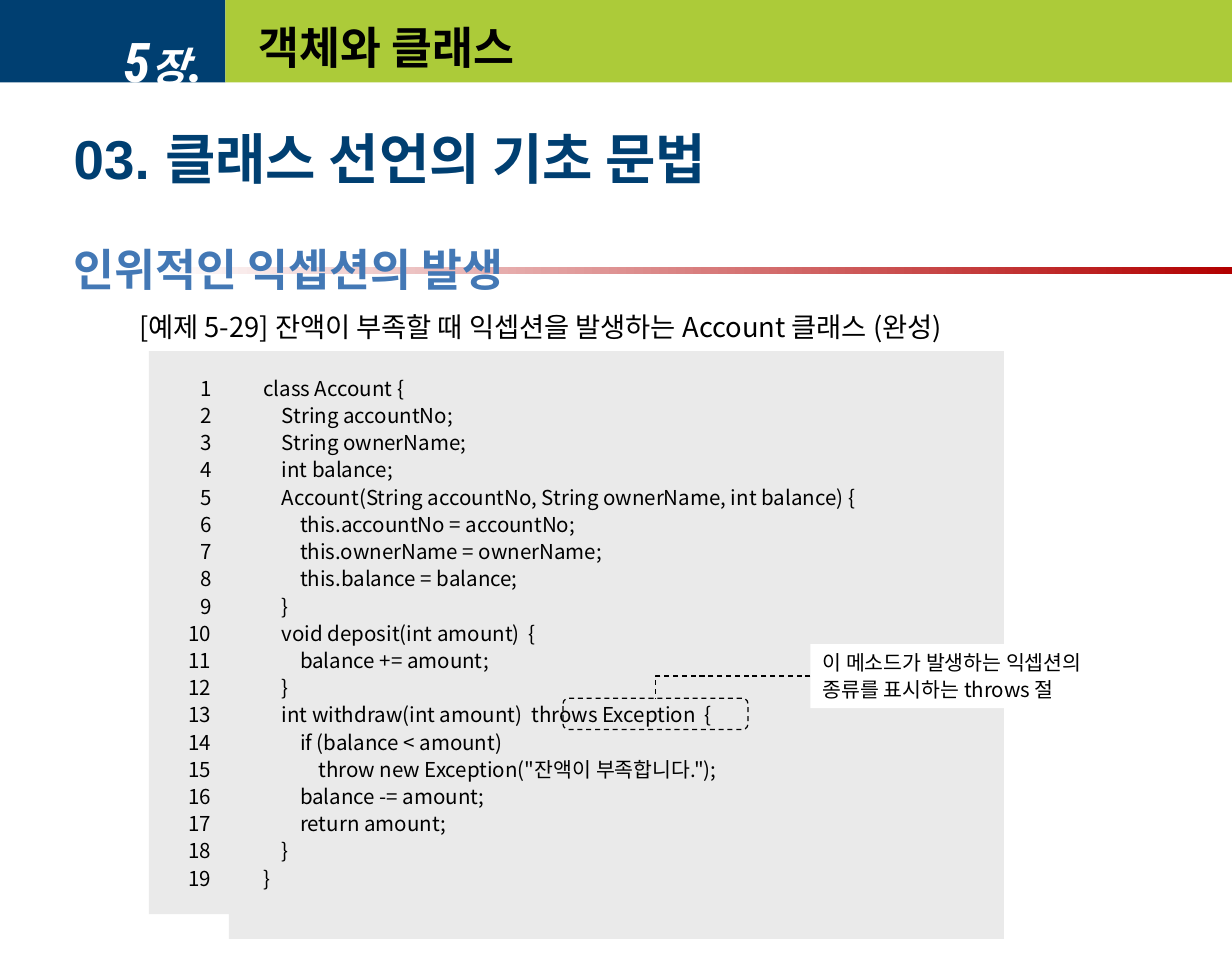
from lxml.etree import SubElement
from pptx import Presentation
from pptx.dml.color import RGBColor
from pptx.enum.dml import MSO_LINE
from pptx.enum.shapes import MSO_CONNECTOR, MSO_SHAPE
from pptx.enum.text import MSO_ANCHOR, PP_ALIGN
from pptx.oxml.ns import qn
from pptx.util import Cm, Pt

SANS = "Noto Sans CJK KR"
NAVY, GREEN, BLUE, RED = "003F71", "ACCB39", "4378B5", "B20000"
BLACK, WHITE, GRAY = "000000", "FFFFFF", "EAEAEA"
CODE = """\
class Account {
    String accountNo;
    String ownerName;
    int balance;
    Account(String accountNo, String ownerName, int balance) {
        this.accountNo = accountNo;
        this.ownerName = ownerName;
        this.balance = balance;
    }
    void deposit(int amount)  {
        balance += amount;
    }
    int withdraw(int amount)  throws Exception  {
        if (balance < amount)
            throw new Exception("잔액이 부족합니다.");
        balance -= amount;
        return amount;
    }
}""".split("\n")


def color(value):
    """Turn a hex string into a colour."""
    return RGBColor.from_string(value)


def add_span(para, text, size, font=SANS, fill=BLACK, bold=False, italic=False):
    """Add formatted text to a paragraph."""
    span = para.add_run()
    span.text = text
    span.font.size, span.font.name = Pt(size), font
    span.font.bold, span.font.italic = bold, italic
    span.font.color.rgb = color(fill)
    SubElement(span.font._element, qn("a:ea"), typeface=SANS)


def add_para(frame, align=PP_ALIGN.LEFT, before=0, after=0, leading=None):
    """Return the empty first paragraph, or a new one after the others."""
    first = frame.paragraphs[0]
    para = frame.add_paragraph() if first.runs else first
    para.alignment = align
    para.space_before, para.space_after = Pt(before), Pt(after)
    if leading:
        para.line_spacing = Pt(leading)
    return para


def add_box(page, left, top, width, height, fill=None, shape=MSO_SHAPE.RECTANGLE):
    """Add a shape without outline or shadow."""
    box = page.shapes.add_shape(shape, Cm(left), Cm(top), Cm(width), Cm(height))
    box.shadow.inherit = False
    box.line.fill.background()
    if fill:
        box.fill.solid()
        box.fill.fore_color.rgb = color(fill)
    else:
        box.fill.background()
    return box


def add_text(page, left, top, width, height, anchor=MSO_ANCHOR.TOP):
    """Add a wrapping text box and return its frame."""
    frame = page.shapes.add_textbox(Cm(left), Cm(top), Cm(width), Cm(height)).text_frame
    frame.word_wrap = True
    frame.vertical_anchor = anchor
    return frame


def add_lines(box, lines, align=PP_ALIGN.LEFT, insets=None):
    """Fill a box with evenly spaced small lines."""
    frame = box.text_frame
    frame.word_wrap = True
    frame.vertical_anchor = MSO_ANCHOR.TOP
    if insets:
        (frame.margin_left, frame.margin_top,
         frame.margin_right, frame.margin_bottom) = map(Cm, insets)
    for index, line in enumerate(lines):
        para = add_para(frame, align, before=1.5 if index else 0, leading=14.4)
        add_span(para, line, 12)


def dash(line):
    """Make a line thin, black and dashed."""
    line.color.rgb = color(BLACK)
    line.width = Pt(0.75)
    line.dash_style = MSO_LINE.DASH


def build_header(page, left, top, width, height):
    """Place the chapter block and the title band."""
    chapter = 4.65
    add_box(page, left, top, chapter, height, NAVY)
    add_box(page, left + chapter, top, width - chapter, height, GREEN)
    frame = add_text(page, left, top + 0.2, 4.45, 2.11, MSO_ANCHOR.MIDDLE)
    para = add_para(frame, PP_ALIGN.RIGHT)
    for text, size in (("5", 32), ("장", 24), (".", 32)):
        add_span(para, text, size, "Roboto Condensed", WHITE, bold=True, italic=True)
    frame = add_text(page, left + 5.08, top + 0.2, 19.89, 1.52, MSO_ANCHOR.MIDDLE)
    add_span(add_para(frame), "객체와 클래스", 26, bold=True)


def build_headings(page, left, top, width, height):
    """Place the fading rule and the section headings."""
    rule = add_box(page, left + 1.91, top + 3.17, 22.22, 0.15, RED)
    rule.fill.gradient()
    rule.fill.gradient_angle = 180
    for stop, position, value in zip(rule.fill.gradient_stops, (0, 1), (RED, WHITE)):
        stop.position = position
        stop.color.rgb = color(value)
    frame = add_text(page, left, top, width, height)
    para = add_para(frame, leading=41.7)
    add_span(para, "03. ", 32, "Arial", NAVY, bold=True)
    add_span(para, "클래스 선언의 기초 문법", 32, fill=NAVY, bold=True)
    para = add_para(frame, before=27, after=3, leading=34)
    add_span(para, "인위적인 익셉션의 발생", 26, "Arial Narrow", BLUE, bold=True)
    para = add_para(frame, before=4, leading=21)
    para._p.get_or_add_pPr().set("marL", str(Cm(1.63)))
    para._p.get_or_add_pPr().set("indent", str(Cm(-0.28)))
    add_span(para, "[예제 5-29] 잔액이 부족할 때 익셉션을 발생하는 Account 클래스 (완성)", 16)


def build_listing(page, left, top, width, height):
    """Place the line numbers and the code beside them."""
    insets = (0.71, 0.51, 0.51, 0.51)
    numbers = add_box(page, left, top, 1.8, height - 0.51, GRAY)
    add_lines(numbers, map(str, range(1, len(CODE) + 1)), PP_ALIGN.RIGHT, insets)
    code = add_box(page, left + 1.65, top, width - 1.65, height, GRAY)
    add_lines(code, CODE, PP_ALIGN.JUSTIFY, insets)


def build_callout(page, left, top, width, height):
    """Place the note and join it to the outlined throws clause."""
    note = add_box(page, left + 5.1, top, width - 5.1, 1.32, WHITE)
    add_lines(note, ("이 메소드가 발생하는 익셉션의", "종류를 표시하는 throws 절"))
    clause = add_box(page, left, top + height - 0.64, 3.81, 0.64,
                     shape=MSO_SHAPE.ROUNDED_RECTANGLE)
    clause.adjustments[0] = 0.167
    dash(clause.line)
    link = page.shapes.add_connector(MSO_CONNECTOR.ELBOW, 0, 0, 0, 0)
    link.begin_x, link.begin_y = note.left, note.top + note.height // 2
    link.end_x, link.end_y = clause.left + clause.width // 2, clause.top
    link.begin_connect(note, 1)
    link.end_connect(clause, 0)
    properties = link._element.spPr
    properties.find(qn("a:prstGeom")).set("prst", "bentConnector2")
    dash(link.line)
    SubElement(properties, qn("a:effectLst"))


def main():
    """Build the slide and save the deck."""
    deck = Presentation()
    deck.slide_width, deck.slide_height = Cm(25.4), Cm(20)
    page = deck.slides.add_slide(deck.slide_layouts[6])
    build_header(page, 0, 0, 25.4, 1.7)
    build_headings(page, 1.27, 2.34, 22.83, 15.04)
    build_listing(page, 3.07, 7.24, 17.63, 12.12)
    build_callout(page, 11.61, 13.28, 11.88, 1.76)
    deck.save("out.pptx")


if __name__ == "__main__":
    main()
